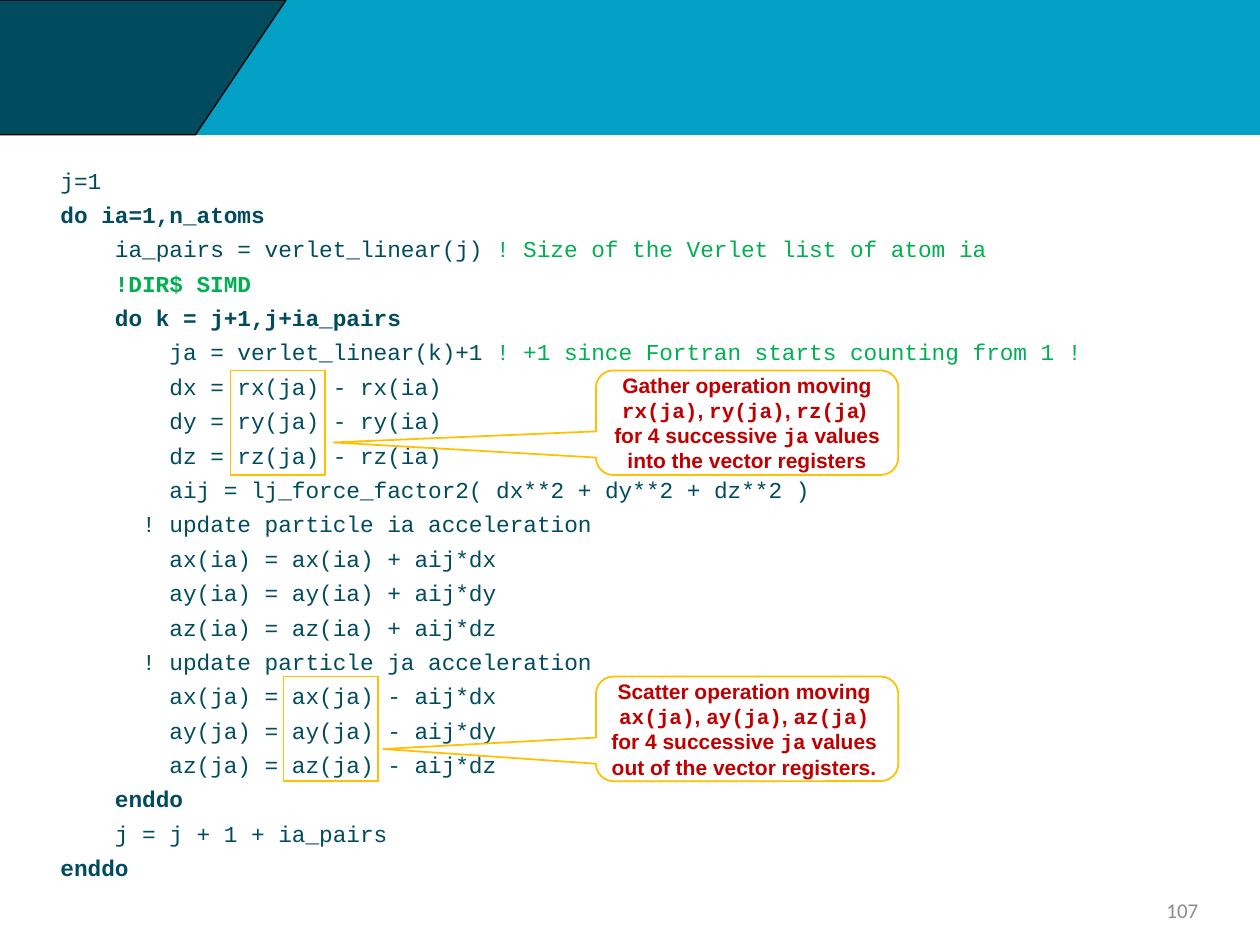
"""Build a slide of Fortran code with gather and scatter callouts."""
from pptx import Presentation
from pptx.dml.color import RGBColor
from pptx.enum.shapes import MSO_SHAPE
from pptx.enum.text import MSO_ANCHOR, MSO_AUTO_SIZE, PP_ALIGN
from pptx.util import Inches, Pt
from lxml import etree

TEAL, GREEN, RED, GOLD = "004C5E", "00B050", "C00000", "FFC000"

CODE = """j=1
do ia=1,n_atoms
    ia_pairs = verlet_linear(j) ! Size of the Verlet list of atom ia
    !DIR$ SIMD
    do k = j+1,j+ia_pairs
        ja = verlet_linear(k)+1 ! +1 since Fortran starts counting from 1 !
        dx = rx(ja) - rx(ia)
        dy = ry(ja) - ry(ia)
        dz = rz(ja) - rz(ia)
        aij = lj_force_factor2( dx**2 + dy**2 + dz**2 )
      ! update particle ia acceleration
        ax(ia) = ax(ia) + aij*dx
        ay(ia) = ay(ia) + aij*dy
        az(ia) = az(ia) + aij*dz
      ! update particle ja acceleration
        ax(ja) = ax(ja) - aij*dx
        ay(ja) = ay(ja) - aij*dy
        az(ja) = az(ja) - aij*dz
    enddo
    j = j + 1 + ia_pairs
enddo"""

NOTES = [
    (2.94, 1.83, (-1.368, 0.189, 0.167), [
        "Gather operation moving",
        "`rx(ja)`, `ry(ja)`, `rz(ja`) ",
        "for 4 successive `ja` values into the vector registers"]),
    (5.37, 2.25, (-1.203, 0.193, 0.167), [
        "Scatter operation moving ",
        "`ax(ja)`, `ay(ja)`, `az(ja)` ",
        "for 4 successive `ja` values ",
        "out of the vector registers. "]),
]


def color(code):
    return RGBColor.from_string(code)


def draw(kind, left, top, width, height, line, weight, fill=None):
    shape = slide.shapes.add_shape(
        kind, Inches(left), Inches(top), Inches(width), Inches(height))
    shape.shadow.inherit = False
    shape.line.color.rgb = color(line)
    shape.line.width = Pt(weight)
    if fill:
        shape.fill.solid()
        shape.fill.fore_color.rgb = color(fill)
    else:
        shape.fill.background()
    return shape


deck = Presentation()
deck.slide_width, deck.slide_height = Inches(10), Inches(7.5)
slide = deck.slides.add_slide(deck.slide_layouts[1])
title = slide.shapes.title.element
title.getparent().remove(title)
body = slide.placeholders[1]

band = draw(MSO_SHAPE.RECTANGLE, 0, 0, 10, 1.07, "03A0C5", 0.75, "03A0C5")
wedge = draw(MSO_SHAPE.TRAPEZOID, -2.26, 0, 4.53, 1.07, "000000", 0.75, TEAL)
wedge.rotation = 180
wedge.adjustments[0] = 0.672
for part in (wedge, band):
    slide.shapes._spTree.insert(2, part.element)

body.left, body.top = Inches(0.38), Inches(1.27)
body.width, body.height = Inches(9.23), Inches(5.74)
frame = body.text_frame
frame.word_wrap = True
frame.auto_size = MSO_AUTO_SIZE.NONE
for row, text in enumerate(CODE.splitlines()):
    para = frame.paragraphs[0] if row == 0 else frame.add_paragraph()
    props = para._p.get_or_add_pPr()
    props.set("marL", "0")
    props.set("indent", "0")
    para.space_before = Pt(2 if row else 0)
    para.space_after = Pt(2)
    etree.SubElement(
        props, "{http://schemas.openxmlformats.org/drawingml/2006/main}buNone")
    para.font.name = "Courier New"
    para.font.size = Pt(13)
    para.font.bold = text.strip().startswith(("do ", "enddo", "!DIR"))
    para.font.color.rgb = color(TEAL)
    head, mark, tail = text.partition("!")
    if mark and (head.strip() or tail.startswith("DIR")):
        para.add_run().text = head
        note = para.add_run()
        note.text = mark + tail
        note.font.color.rgb = color(GREEN)
    else:
        para.add_run().text = text

page = slide.shapes.add_textbox(
    Inches(7.28), Inches(7.02), Inches(2.33), Inches(0.4))
page.text_frame.word_wrap = True
page.text_frame.vertical_anchor = MSO_ANCHOR.MIDDLE
para = page.text_frame.paragraphs[0]
para.text = "107"
para.alignment = PP_ALIGN.RIGHT
para.font.name = "Calibri"
para.font.size = Pt(12)
para.font.color.rgb = color("8C8C8C")

for top, left, bends, lines in NOTES:
    call = draw(MSO_SHAPE.ROUNDED_RECTANGULAR_CALLOUT,
                4.73, top, 2.4, 0.83, GOLD, 1)
    for spot, bend in enumerate(bends):
        call.adjustments[spot] = bend
    frame = call.text_frame
    frame.word_wrap = True
    frame.vertical_anchor = MSO_ANCHOR.MIDDLE
    frame.margin_left = frame.margin_right = Inches(0.08)
    frame.margin_top = frame.margin_bottom = Inches(0.05)
    for row, text in enumerate(lines):
        para = frame.paragraphs[0] if row == 0 else frame.add_paragraph()
        para.alignment = PP_ALIGN.CENTER
        para.font.size = Pt(12)
        para.font.bold = True
        para.font.color.rgb = color(RED)
        for turn, piece in enumerate(text.split("`")):
            if piece:
                run = para.add_run()
                run.text = piece
                run.font.name = "Courier New" if turn % 2 else "Arial"
    draw(MSO_SHAPE.RECTANGLE, left, top, 0.75, 0.83, GOLD, 1)

deck.save("out.pptx")
